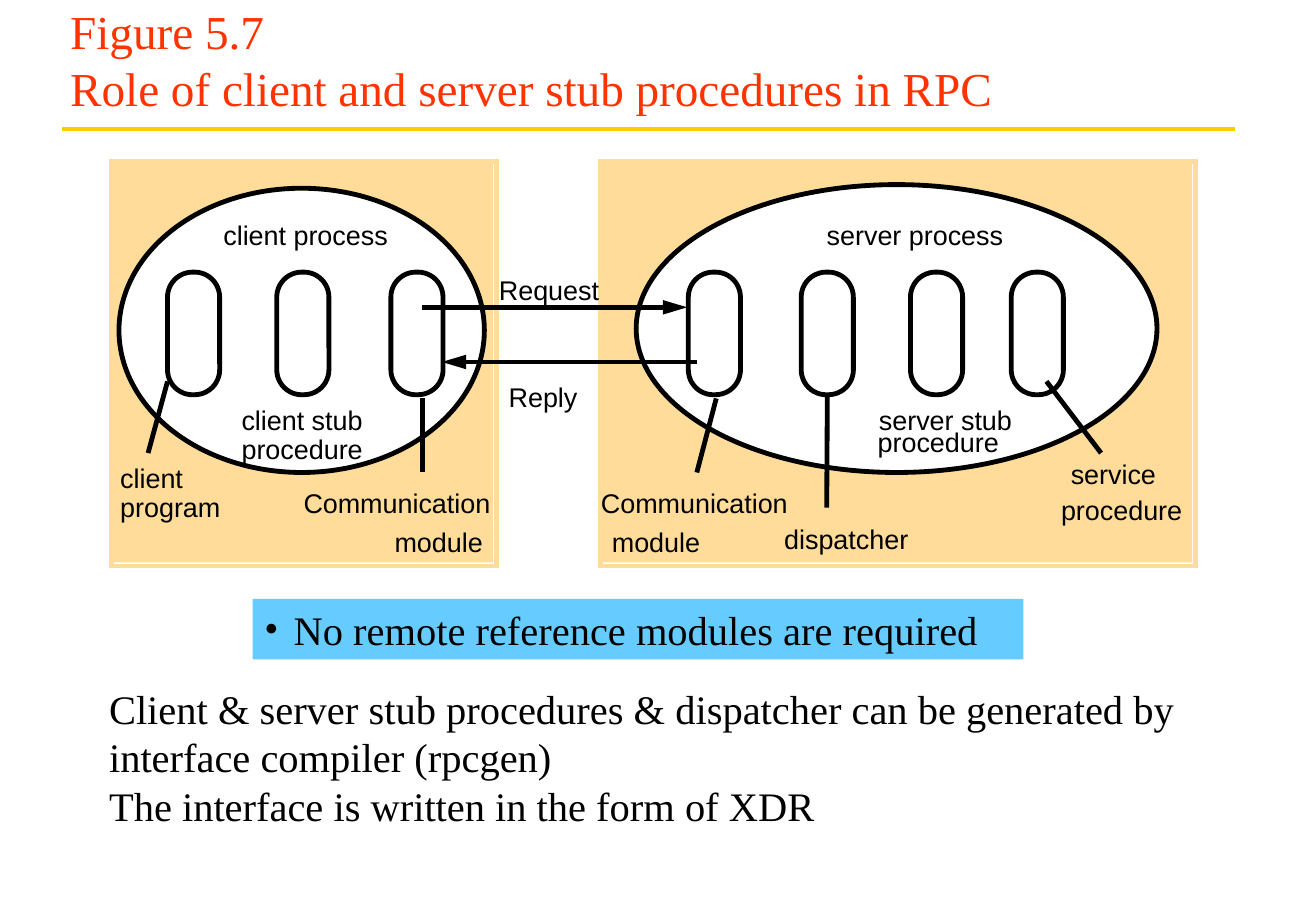
from lxml.etree import SubElement
from pptx import Presentation
from pptx.dml.color import RGBColor
from pptx.enum.shapes import MSO_CONNECTOR as CONN, MSO_SHAPE as SHAPE
from pptx.enum.text import MSO_ANCHOR as ANCHOR
from pptx.oxml.ns import qn
from pptx.util import Inches, Pt

SERIF, SANS = "Times New Roman", "Arial"
BLACK, WHITE, RED = "000000", "FFFFFF", "FF3300"
SAND, BLUE, GOLD = "FFDC99", "66CCFF", "FFCC00"
STROKE = 2.86
PILL_TOP, PILL_W, PILL_H = 0.91, 0.43, 1.01


def color(value):
    return RGBColor.from_string(value)


def add_shape(s, kind, box, fill=None, line=None):
    sp = s.shapes.add_shape(kind, *map(Inches, box))
    sp.shadow.inherit = False
    if fill:
        sp.fill.solid()
        sp.fill.fore_color.rgb = color(fill)
    else:
        sp.fill.background()
    if line:
        sp.line.color.rgb = color(line)
        sp.line.width = Pt(STROKE)
        SubElement(sp.line._get_or_add_ln(), qn("a:miter"), lim="800000")
    else:
        sp.line.fill.background()
    return sp


def add_line(s, start, end, line=BLACK, width=STROKE, arrow=False):
    c = s.shapes.add_connector(CONN.STRAIGHT, *map(Inches, (*start, *end)))
    c.line.color.rgb = color(line)
    c.line.width = Pt(width)
    if arrow:
        SubElement(c.line._get_or_add_ln(), qn("a:tailEnd"),
                   type="triangle", w="med", len="lg")
    SubElement(c._element.spPr, qn("a:effectLst"))
    return c


def write(sp, text, font=SERIF, size=24, fill=BLACK, wrap=True,
          anchor=ANCHOR.TOP, margins=(0.1, 0.05), bullet=None):
    """Fill a shape with text, one paragraph per line."""
    tf = sp.text_frame
    tf.word_wrap = wrap
    tf.vertical_anchor = anchor
    tf.margin_left = tf.margin_right = Inches(margins[0])
    tf.margin_top = tf.margin_bottom = Inches(margins[1])
    tf.text = text
    for p in tf.paragraphs:
        pPr = p._p.get_or_add_pPr()
        pPr.set("algn", "l")
        if bullet:
            indent = Inches(0.24)
            pPr.set("marL", str(indent))
            pPr.set("indent", str(-indent))
            SubElement(pPr, qn("a:buFont"), typeface=SERIF)
            SubElement(pPr, qn("a:buChar"), char=bullet)
        for r in p.runs:
            r.font.name = font
            r.font.size = Pt(size)
            r.font.color.rgb = color(fill)


def add_text(s, box, text, **fmt):
    write(s.shapes.add_textbox(*map(Inches, box)), text, **fmt)


def add_label(s, x, y, text):
    add_text(s, (x, y, 0.13 * len(text), 0.27), text, font=SANS, size=16,
             wrap=False, margins=(0, 0))


def add_title(s, box):
    x, y, w, h = box
    add_line(s, (x + 0.03, y + h + 0.06), (x + w - 0.03, y + h + 0.06),
             GOLD, 2.25)
    add_text(s, box,
             "Figure 5.7\nRole of client and server stub procedures in RPC",
             size=28, fill=RED, anchor=ANCHOR.BOTTOM)


def add_process(s, box, oval, pills, leaders, labels):
    """Draw one computer with its process; parts are relative to the box."""
    x, y, w, h = box
    add_shape(s, SHAPE.RECTANGLE, (x, y, w - 0.03, h - 0.03), fill=SAND)
    add_shape(s, SHAPE.RECTANGLE, box, line=SAND)
    dx, dy, ow, oh = oval
    add_shape(s, SHAPE.OVAL, (x + dx, y + dy, ow, oh), WHITE, BLACK)
    modules = []
    for dx in pills:
        sp = add_shape(s, SHAPE.ROUNDED_RECTANGLE,
                       (x + dx, y + PILL_TOP, PILL_W, PILL_H), line=BLACK)
        sp.adjustments[0] = 0.48
        modules.append(sp)
    for x1, y1, x2, y2 in leaders:
        add_line(s, (x + x1, y + y1), (x + x2, y + y2))
    for dx, dy, text in labels:
        add_label(s, x + dx, y + dy, text)
    return modules


def add_client(s, box):
    add_process(
        s, box, (0.06, 0.22, 3.01, 2.34), (0.46, 1.36, 2.3),
        [(0.3, 2.4, 0.46, 1.81), (2.56, 2.56, 2.56, 1.95)],
        [(0.92, 0.47, "client process"),
         (1.07, 1.99, "client stub"), (1.07, 2.23, "procedure"),
         (0.07, 2.47, "client"), (0.07, 2.71, "program"),
         (1.58, 2.68, "Communication"), (2.33, 3, "module")])


def add_server(s, box):
    x, y = box[:2]
    modules = add_process(
        s, box, (0.29, 0.19, 4.29, 2.37), (0.72, 1.65, 2.55, 3.38),
        [(0.79, 2.56, 0.95, 1.95), (4.12, 2.4, 3.67, 1.81)],
        [(1.86, 0.47, "server process"),
         (2.29, 1.99, "server stub"), (2.28, 2.17, "procedure"),
         (0, 2.68, "Communication"), (0.09, 3, "module"),
         (1.51, 2.97, "dispatcher"),
         (3.87, 2.44, "service"), (3.79, 2.73, "procedure")])
    foot = y + PILL_TOP + PILL_H
    dispatcher = add_line(s, (x + 1.86, y + 2.85), (x + 1.86, foot))
    dispatcher.end_connect(modules[1], 2)


def add_messages(s, box):
    """Draw the request and reply arrows between the two processes."""
    x, y, w, h = box
    add_line(s, (x, y), (x + w - 0.08, y), arrow=True)
    add_line(s, (x + w, y + h), (x + 0.16, y + h), arrow=True)
    add_label(s, x + 0.63, y - 0.28, "Request")
    add_label(s, x + 0.71, y + 0.6, "Reply")


def add_notes(s, box):
    x, y, w, h = box
    banner = add_shape(s, SHAPE.RECTANGLE, (x + 1.28, y, 6.35, 0.5), BLUE)
    write(banner, "No remote reference modules are required", bullet="•")
    add_text(s, (x, y + 0.65, w, h - 0.65),
             "Client & server stub procedures & dispatcher can be generated "
             "by interface compiler (rpcgen)\n"
             "The interface is written in the form of XDR")


def main():
    prs = Presentation()
    prs.slide_width, prs.slide_height = Inches(10.84), Inches(7.5)
    s = prs.slides.add_slide(prs.slide_layouts[6])
    add_title(s, (0.48, 0.25, 9.72, 0.75))
    add_client(s, (0.92, 1.33, 3.17, 3.33))
    add_server(s, (4.95, 1.33, 4.9, 3.33))
    add_messages(s, (3.48, 2.53, 2.26, 0.45))
    add_notes(s, (0.8, 4.93, 9.42, 1.95))
    prs.save("out.pptx")


if __name__ == "__main__":
    main()
